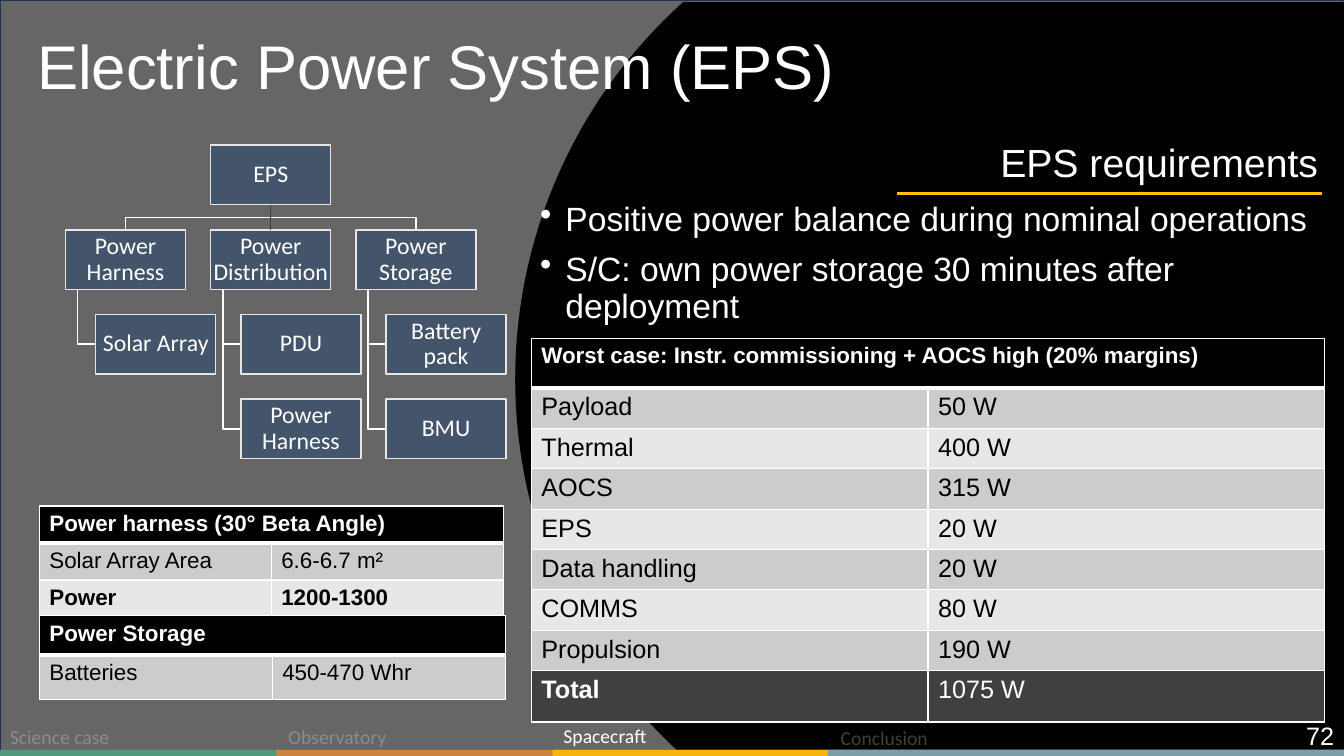
from dataclasses import dataclass
from math import asin, cos, pi, sin
from lxml import etree
from pptx import Presentation
from pptx.dml.color import RGBColor
from pptx.enum.shapes import MSO_CONNECTOR, MSO_SHAPE
from pptx.enum.text import MSO_ANCHOR, PP_ALIGN
from pptx.oxml import parse_xml
from pptx.oxml.ns import qn
from pptx.util import Inches, Pt

RECTANGLE = MSO_SHAPE.RECTANGLE
STRAIGHT = MSO_CONNECTOR.STRAIGHT
TOP, MIDDLE = MSO_ANCHOR.TOP, MSO_ANCHOR.MIDDLE
LEFT, CENTER, RIGHT = PP_ALIGN.LEFT, PP_ALIGN.CENTER, PP_ALIGN.RIGHT
DRAWING_NS = "http://schemas.openxmlformats.org/drawingml/2006/main"


@dataclass(frozen=True)
class Theme:
    body_font: str = "Arial"
    chart_font: str = "Calibri"
    white: str = "FFFFFF"
    black: str = "000000"
    backdrop: str = "666666"
    backdrop_edge: str = "1E3256"
    faded: str = "8C8C8C"
    faded_dark: str = "404040"
    green: str = "50997A"
    orange: str = "CE833F"
    yellow: str = "F8B40C"
    blue: str = "7BA0AA"
    accent: str = "FFC000"
    unit: str = "44546A"
    unit_edge: str = "E7E6E6"
    trunk: str = "364355"
    band_dark: str = "CCCCCC"
    band_light: str = "E7E7E7"
    total: str = "404040"
    title_size: int = 44
    heading_size: int = 28
    bullet_size: int = 24
    large_size: int = 18
    unit_size: int = 17
    small_size: int = 16
    footer_size: int = 14


theme = Theme()


def style(shape, fill=None, line=None):
    shape.shadow.inherit = False
    if fill:
        shape.fill.solid()
        shape.fill.fore_color.rgb = RGBColor.from_string(fill)
    else:
        shape.fill.background()
    if line:
        shape.line.color.rgb = RGBColor.from_string(line)
        shape.line.width = Pt(1)
    else:
        shape.line.fill.background()


def write(paragraph, text, size, color=theme.white, font=theme.body_font,
          align=LEFT, bold=False, spacing=None):
    paragraph.alignment = align
    paragraph.line_spacing = spacing
    run = paragraph.add_run()
    run.text = text
    run.font.name = font
    run.font.size = Pt(size)
    run.font.bold = bold
    run.font.color.rgb = RGBColor.from_string(color)


deck = Presentation()
deck.slide_width, deck.slide_height = Inches(13.33), Inches(7.5)
slide = deck.slides.add_slide(deck.slide_layouts[6])
shapes = slide.shapes

backdrop = shapes.add_shape(RECTANGLE, 0, 0, deck.slide_width, deck.slide_height)
style(backdrop, theme.backdrop, theme.backdrop_edge)

radius, center_x, center_y, half_height = 5.03, 10.14, 3.76, 3.74
half_angle = asin(half_height / radius)
steps = 60
arc = []
for step in range(steps + 1):
    angle = pi + half_angle - 2 * half_angle * step / steps
    arc.append((Inches(center_x + radius * cos(angle)),
                Inches(center_y + radius * sin(angle))))
planet = shapes.build_freeform(Inches(13.33), Inches(center_y - half_height))
planet.add_line_segments(arc + [(Inches(13.33), Inches(center_y + half_height))])
style(planet.convert_to_shape(), theme.black)

for bar_left, bar_top, bar_color in [
    (0, 7.44, theme.green), (2.74, 7.44, theme.orange),
    (5.48, 7.44, theme.yellow), (8.21, 7.44, theme.blue),
]:
    bar = shapes.add_shape(RECTANGLE, Inches(bar_left), Inches(bar_top),
                           Inches(13.33 - bar_left), Inches(0.06))
    style(bar, bar_color)

footer = dict(size=theme.footer_size, font=theme.chart_font)
heading = dict(size=theme.heading_size, align=RIGHT, spacing=0.9)
for left, top, width, height, anchor, text, look in [
    (0, 7.14, 2.74, 0.34, TOP, "Science case", dict(footer, color=theme.faded)),
    (2.76, 7.14, 2.41, 0.34, TOP, "Observatory", dict(footer, color=theme.faded)),
    (5.49, 7.13, 2.41, 0.34, TOP, "Spacecraft", footer),
    (8.24, 7.15, 2.41, 0.34, TOP, "Conclusion", dict(footer, color=theme.faded_dark)),
    (10.33, 7.1, 3, 0.4, MIDDLE, "72", dict(size=theme.large_size, align=RIGHT)),
    (0.27, 0.27, 12.84, 0.84, MIDDLE, "Electric Power System (EPS)",
     dict(size=theme.title_size, spacing=0.9)),
    (6.38, 1.36, 6.79, 0.56, MIDDLE, "EPS requirements", heading),
]:
    label = shapes.add_textbox(Inches(left), Inches(top), Inches(width), Inches(height))
    label.text_frame.word_wrap = True
    label.text_frame.vertical_anchor = anchor
    write(label.text_frame.paragraphs[0], text, **look)

requirements = shapes.add_textbox(Inches(5.26), Inches(1.96), Inches(8.07), Inches(1.38))
requirements.text_frame.word_wrap = True
for index, text in enumerate([
    "Positive power balance during nominal operations",
    "S/C: own power storage 30 minutes after deployment",
]):
    frame = requirements.text_frame
    paragraph = frame.add_paragraph() if index else frame.paragraphs[0]
    properties = paragraph._p.get_or_add_pPr()
    properties.set("marL", str(Inches(0.25)))
    properties.set("indent", str(-Inches(0.25)))
    bullet = etree.SubElement(properties, qn("a:buChar"))
    bullet.set("char", "•")
    if index:
        paragraph.space_before = Pt(10)
    write(paragraph, text, theme.bullet_size, spacing=0.9)

unit_width, unit_height = 1.19, 0.59
first_left, column_pitch = 0.65, 1.44
first_top, row_pitch = 1.44, 0.84
child_indent, stem_indent = 0.3, 0.12
root_x = first_left + column_pitch + unit_width / 2
root_bottom = first_top + unit_height
units = {}
for column, row, text in [
    (1, 0, "EPS"),
    (0, 1, "Power Harness"), (0, 2, "Solar Array"),
    (1, 1, "Power Distribution"), (1, 2, "PDU"), (1, 3, "Power Harness"),
    (2, 1, "Power Storage"), (2, 2, "Battery pack"), (2, 3, "BMU"),
]:
    column_left = first_left + column * column_pitch
    left = column_left + (child_indent if row > 1 else 0)
    top = first_top + row * row_pitch
    branch = []
    if row > 1:
        stem_x = column_left + stem_indent
        stem_top = first_top + row_pitch + unit_height
        middle_y = top + unit_height / 2
        branch = [(stem_x, stem_top), (stem_x, middle_y), (left, middle_y)]
    elif row == 1 and column != 1:
        unit_x = left + unit_width / 2
        fork_y = (root_bottom + top) / 2
        branch = [(root_x, root_bottom), (root_x, fork_y), (unit_x, fork_y), (unit_x, top)]
    if branch:
        points = [(Inches(x), Inches(y)) for x, y in branch]
        route = shapes.build_freeform(*points[0])
        route.add_line_segments(points[1:], close=False)
        style(route.convert_to_shape(), line=theme.white)

    unit = shapes.add_shape(RECTANGLE, Inches(left), Inches(top),
                            Inches(unit_width), Inches(unit_height))
    style(unit, theme.unit, theme.unit_edge)
    frame = unit.text_frame
    frame.word_wrap = True
    frame.vertical_anchor = MIDDLE
    frame.margin_left = frame.margin_right = Inches(0.01)
    frame.margin_top = frame.margin_bottom = Inches(0.01)
    write(frame.paragraphs[0], text, theme.unit_size, font=theme.chart_font,
          align=CENTER, spacing=0.9)
    units[column, row] = unit

trunk = shapes.add_connector(STRAIGHT, 0, 0, 0, 0)
trunk.begin_connect(units[1, 0], 2)
trunk.end_connect(units[1, 1], 0)
underline = shapes.add_connector(STRAIGHT, Inches(8.9), Inches(1.92), Inches(13.11), Inches(1.92))
for rule, color, weight in [(trunk, theme.trunk, 1), (underline, theme.accent, 1.5)]:
    rule.line.color.rgb = RGBColor.from_string(color)
    rule.line.width = Pt(weight)
    etree.SubElement(rule._element.spPr, qn("a:effectLst"))

budget = [("Worst case: Instr. commissioning + AOCS high (20% margins)", ""),
          ("Payload", "50 W"), ("Thermal", "400 W"), ("AOCS", "315 W"), ("EPS", "20 W"),
          ("Data handling", "20 W"), ("COMMS", "80 W"), ("Propulsion", "190 W"),
          ("Total", "1075 W")]
harness = [("Power harness (30° Beta Angle)", ""),
           ("Solar Array Area", "6.6-6.7 m²"), ("Power", "1200-1300")]
storage = [("Power Storage", ""), ("Batteries", "450-470 Whr")]
for left, top, width, heights, size, entries in [
    (5.27, 3.36, 7.87, [0.49] + [0.39] * 7 + [0.51], theme.large_size, budget),
    (0.39, 5.02, 4.6, [0.36, 0.35, 0.34], theme.small_size, harness),
    (0.39, 6.11, 4.62, [0.39, 0.44], theme.small_size, storage),
]:
    table = shapes.add_table(len(entries), 2, Inches(left), Inches(top),
                             Inches(width), Inches(sum(heights))).table
    table.first_row = table.horz_banding = False
    table.cell(0, 0).merge(table.cell(0, 1))
    for row, entry in enumerate(entries):
        table.rows[row].height = Inches(heights[row])
        is_total = entry[0] == "Total"
        fill = theme.band_dark if row % 2 else theme.band_light
        if row == 0:
            fill = theme.black
        elif is_total:
            fill = theme.total
        for column, text in enumerate(entry):
            cell = table.cell(row, column)
            cell.fill.solid()
            cell.fill.fore_color.rgb = RGBColor.from_string(fill)
            for position, side in enumerate("LRTB"):
                thick = (row, side) in [(0, "B"), (1, "T")]
                cell._tc.tcPr.insert(position, parse_xml(
                    f'<a:ln{side} xmlns:a="{DRAWING_NS}" w="{Pt(3 if thick else 1)}"><a:solidFill>'
                    f'<a:srgbClr val="{theme.white}"/></a:solidFill></a:ln{side}>'))
            if text:
                write(cell.text_frame.paragraphs[0], text, size if row else theme.small_size,
                      color=theme.white if row == 0 or is_total else theme.black,
                      bold=row == 0 or entry[0] == "Power" or (is_total and column == 0))

deck.save("out.pptx")
